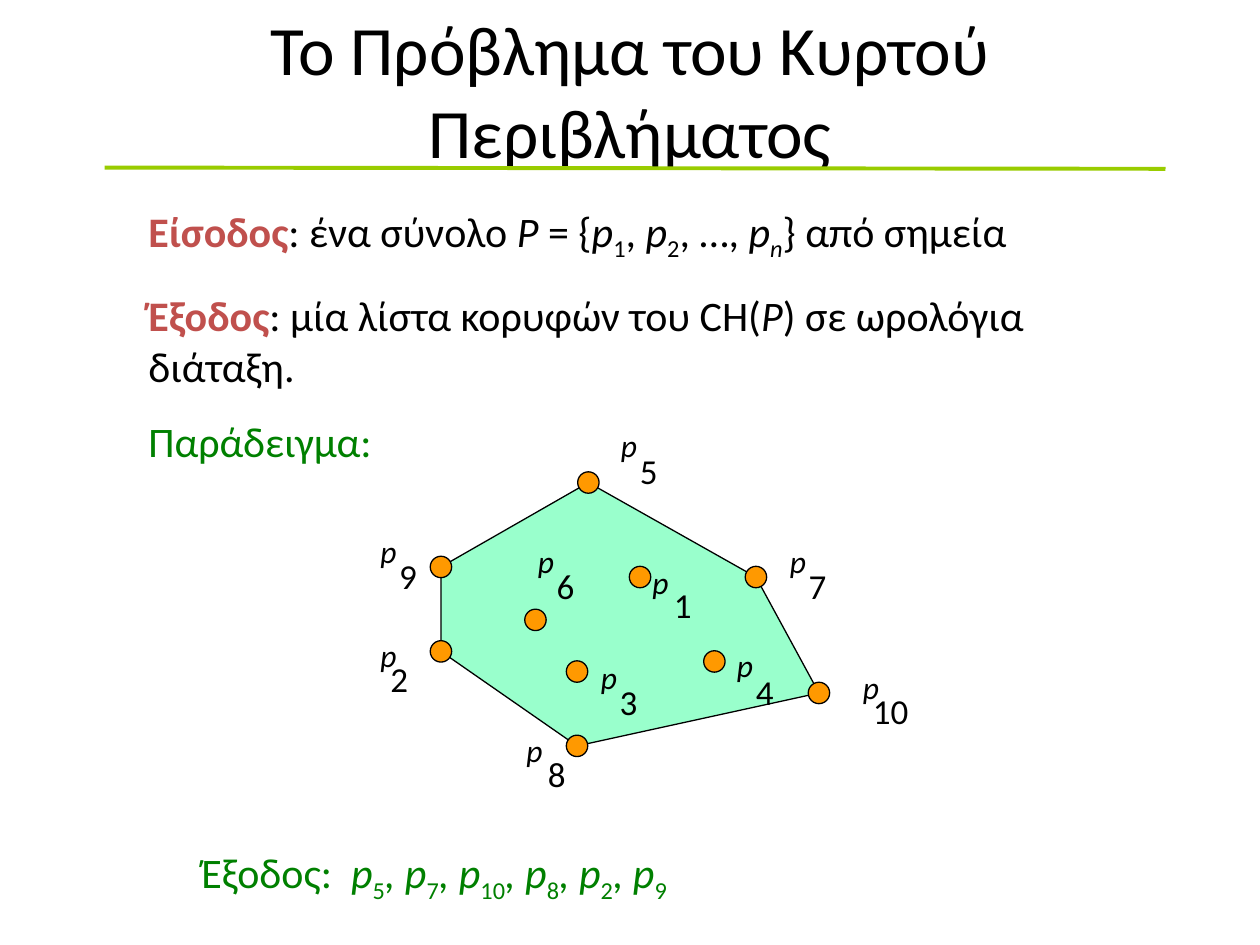
import dataclasses

import lxml.etree
import pptx
import pptx.dml.color
import pptx.enum.shapes
import pptx.enum.text
import pptx.oxml.ns
import pptx.util

Inches = pptx.util.Inches
Pt = pptx.util.Pt


@dataclasses.dataclass(frozen=True)
class Theme:
    font: str = "Calibri"
    black: str = "000000"
    keyword: str = "C0504D"
    example: str = "008000"
    rule: str = "99CC00"
    hull: str = "99FFCC"
    dot: str = "FF9900"
    title_size: float = 39.6
    body_size: float = 24
    index_size: float = 20
    letter_size: float = 18
    rule_width: float = 2.25
    outline_width: float = 0.75


class Painter:
    def __init__(self, theme, slide):
        self.theme = theme
        self.slide = slide
        self.canvas = slide.shapes

    def color(self, value):
        return pptx.dml.color.RGBColor.from_string(value)

    def text(self, place, spans, size, color=None, wrap=False, centered=False):
        box = self.canvas.add_textbox(*map(Inches, place))
        frame = box.text_frame
        frame.word_wrap = wrap
        para = frame.paragraphs[0]
        if centered:
            frame.vertical_anchor = pptx.enum.text.MSO_ANCHOR.MIDDLE
            para.alignment = pptx.enum.text.PP_ALIGN.CENTER
        else:
            frame.auto_size = pptx.enum.text.MSO_AUTO_SIZE.SHAPE_TO_FIT_TEXT
        for words, style in spans:
            span = para.add_run()
            span.text = words
            font = span.font
            font.name = self.theme.font
            font.size = Pt(size)
            font.bold = "keyword" in style
            font.italic = "italic" in style
            shade = self.theme.keyword if font.bold else color or self.theme.black
            font.color.rgb = self.color(shade)
            if "sub" in style:
                span._r.get_or_add_rPr().set("baseline", "-25000")

    def rule(self, start, end):
        line = self.canvas.add_connector(
            pptx.enum.shapes.MSO_CONNECTOR.STRAIGHT, *map(Inches, start + end))
        line.line.color.rgb = self.color(self.theme.rule)
        line.line.width = Pt(self.theme.rule_width)
        lxml.etree.SubElement(line._element.spPr, pptx.oxml.ns.qn("a:effectLst"))

    def paint(self, shape, fill):
        shape.shadow.inherit = False
        shape.fill.solid()
        shape.fill.fore_color.rgb = self.color(fill)
        shape.line.color.rgb = self.color(self.theme.black)
        shape.line.width = Pt(self.theme.outline_width)

    def polygon(self, corners):
        first, *others = [(Inches(x), Inches(y)) for x, y in corners]
        builder = self.canvas.build_freeform(*first)
        builder.add_line_segments(others, close=True)
        self.paint(builder.convert_to_shape(), self.theme.hull)

    def dot(self, center, diameter=0.17):
        x, y = center
        place = (x - diameter / 2, y - diameter / 2, diameter, diameter)
        oval = self.canvas.add_shape(
            pptx.enum.shapes.MSO_SHAPE.OVAL, *map(Inches, place))
        self.paint(oval, self.theme.dot)

    def label(self, index, letter_at, index_at):
        self.text((*letter_at, 0.37, 0.5), [("p", "italic")], self.theme.letter_size)
        width = 0.2 + 0.14 * len(str(index))
        self.text((*index_at, width, 0.43), [(str(index), "")], self.theme.index_size)


HULL = [5, 7, 10, 8, 2, 9]
POINTS = {
    1: ((5.08, 4.58), (5.08, 4.42), (5.25, 4.58)),
    2: ((3.5, 5.17), (2.92, 5), (3, 5.17)),
    3: ((4.58, 5.33), (4.67, 5.17), (4.82, 5.35)),
    4: ((5.67, 5.25), (5.75, 5.08), (5.9, 5.27)),
    5: ((4.67, 3.83), (4.83, 3.33), (4.98, 3.52)),
    6: ((4.25, 4.92), (4.17, 4.25), (4.32, 4.43)),
    7: ((6, 4.58), (6.17, 4.25), (6.32, 4.43)),
    8: ((4.58, 5.92), (4.08, 5.75), (4.25, 5.92)),
    9: ((3.5, 4.5), (2.92, 4.17), (3.07, 4.35)),
    10: ((6.5, 5.5), (6.75, 5.25), (6.83, 5.42)),
}


def main():
    deck = pptx.Presentation()
    deck.slide_width = Inches(10)
    deck.slide_height = Inches(7.5)
    page = deck.slides.add_slide(deck.slide_layouts[6])
    theme = Theme()
    painter = Painter(theme, page)

    painter.text((0.75, 0, 8.5, 1.42), [("Το Πρόβλημα του Κυρτού Περιβλήματος", "")],
                 theme.title_size, wrap=True, centered=True)
    painter.text((1.08, 1.58, 7.25, 0.5), [
        ("Είσοδος", "keyword"), (": ένα σύνολο ", ""), ("P", "italic"), (" = {", ""),
        ("p", "italic"), ("1", "sub"), (", ", ""), ("p", "italic"), ("2", "sub"),
        (", …, ", ""), ("p", "italic"), ("n", "italic sub"), ("} από σημεία", ""),
    ], theme.body_size)
    painter.text((1.08, 2.25, 7.75, 0.91), [
        ("Έξοδος", "keyword"), (": μία λίστα κορυφών του CH(", ""), ("P", "italic"),
        (") σε ωρολόγια διάταξη.", ""),
    ], theme.body_size, wrap=True)
    painter.text((1.08, 3.25, 2, 0.5), [("Παράδειγμα:", "")],
                 theme.body_size, theme.example)

    answer = [("Έξοδος:  ", "")]
    for position, index in enumerate(HULL):
        answer += [(", p" if position else "p", "italic"), (str(index), "sub")]
    painter.text((1.5, 6.67, 4.15, 0.5), answer, theme.body_size, theme.example)
    painter.rule((0.83, 1.33), (9.25, 1.34))

    painter.canvas = page.shapes.add_group_shape().shapes
    painter.polygon([POINTS[index][0] for index in HULL])
    for center, letter_at, index_at in POINTS.values():
        painter.dot(center)
    for index, (center, letter_at, index_at) in POINTS.items():
        painter.label(index, letter_at, index_at)

    deck.save("out.pptx")


if __name__ == "__main__":
    main()
